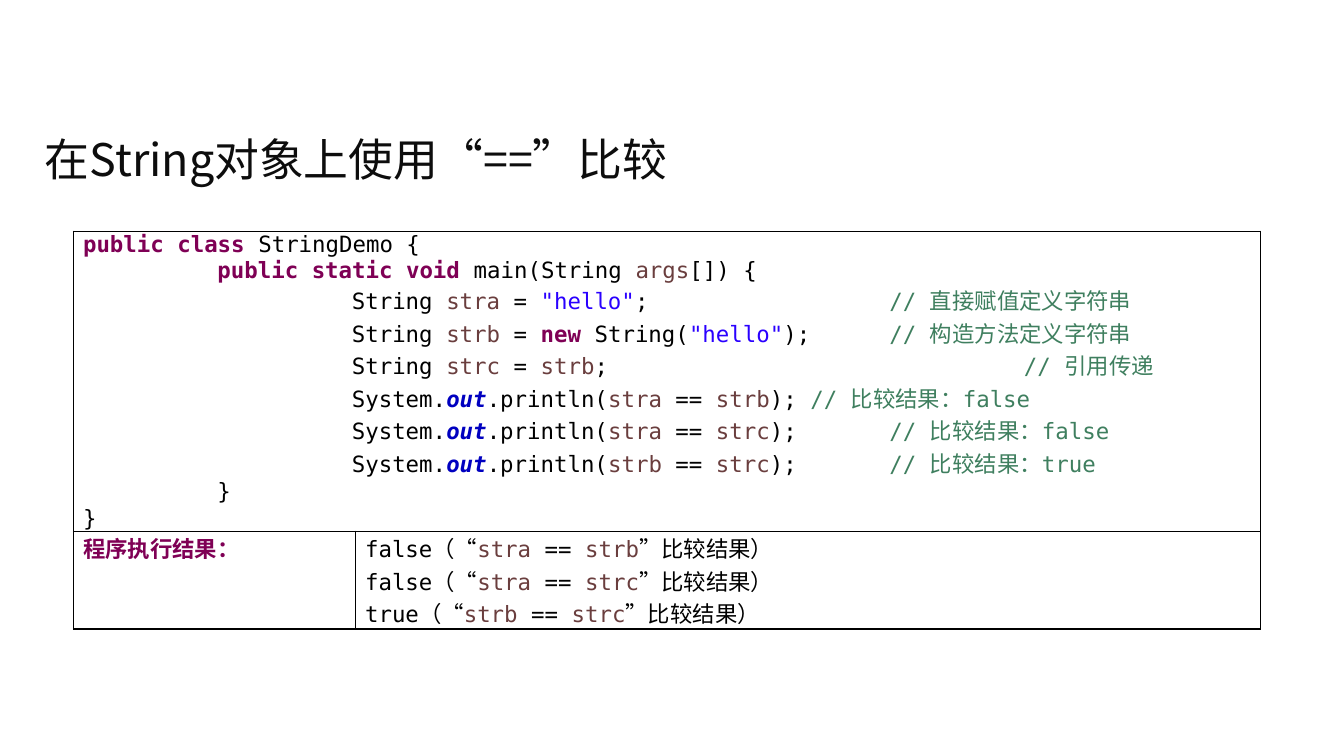
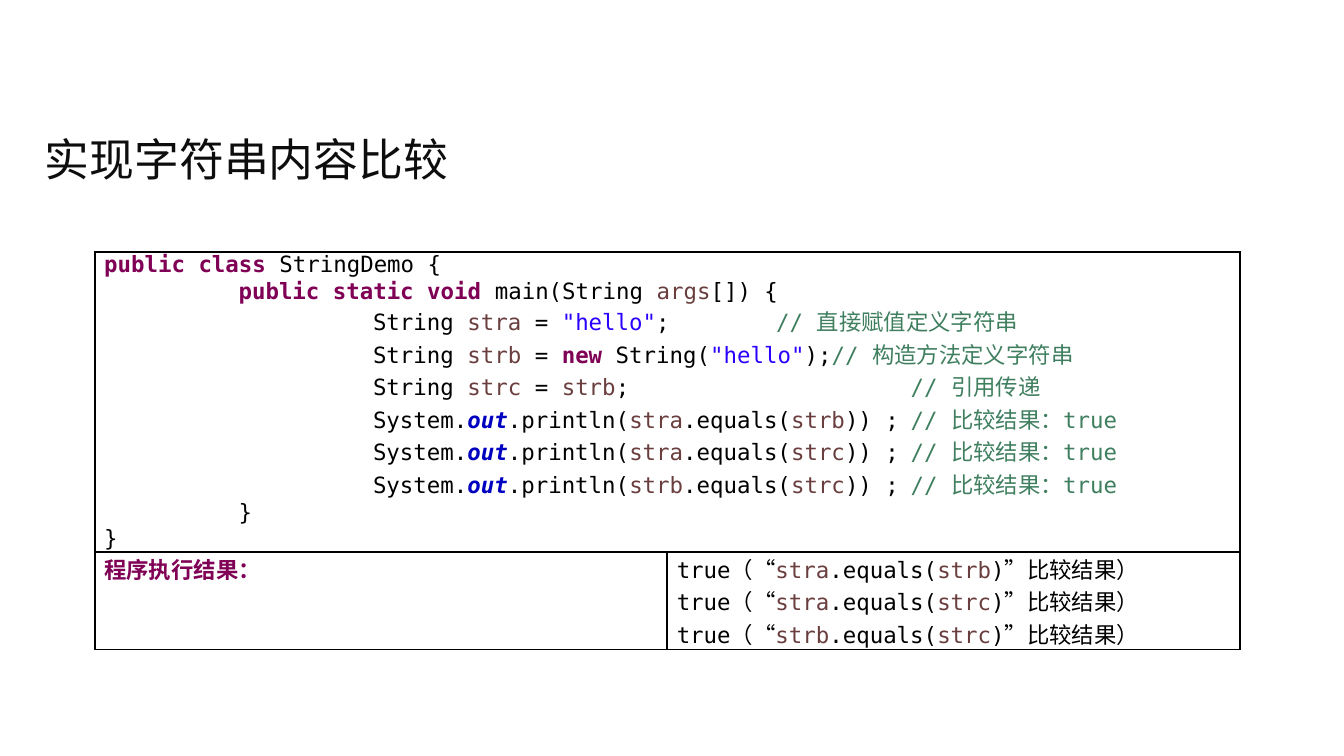
from dataclasses import dataclass

from lxml.etree import SubElement
from pptx import Presentation
from pptx.dml.color import RGBColor
from pptx.enum.text import MSO_ANCHOR
from pptx.oxml.ns import qn
from pptx.util import Cm, Pt


@dataclass(frozen=True)
class Style:
    color: str
    bold: bool = False
    italic: bool = False


@dataclass(frozen=True)
class Theme:
    title_font: str = "Noto Sans CJK SC"
    code_font: str = "DejaVu Sans Mono"
    title_size: int = 24
    code_size: int = 12
    border: str = "000000"
    border_width: int = 1
    title: Style = Style("0D0D0D")
    plain: Style = Style("000000")
    keyword: Style = Style("7F0055", bold=True)
    variable: Style = Style("6A3E3E")
    literal: Style = Style("2A00FF")
    static_field: Style = Style("0000C0", bold=True, italic=True)
    comment: Style = Style("3F7F5F")


@dataclass(frozen=True)
class Comparison:
    expression: str
    ending: str
    verdict: str


@dataclass(frozen=True)
class Lesson:
    title: str
    left: float
    top: float
    columns: tuple[float, float]
    assignment_gaps: tuple[str, str, str]
    comparisons: tuple[Comparison, ...]


THEME = Theme()
SLIDE_SIZE = Cm(25.4), Cm(14.28)
TITLE_BOX = Cm(0.6), Cm(2.18), Cm(24.2), Cm(1.63)
ROW_HEIGHTS = Cm(5.67), Cm(1.84)
CELL_INSET = Cm(0.18)
TAB_WIDTH = Cm(2.54)
TAB_COUNT = 8
RESULT_LABEL = "程序执行结果："

VOCABULARY = {
    "public static void": THEME.keyword,
    "public class": THEME.keyword,
    "new": THEME.keyword,
    RESULT_LABEL: THEME.keyword,
    '"hello"': THEME.literal,
    "out": THEME.static_field,
    "args": THEME.variable,
    "stra": THEME.variable,
    "strb": THEME.variable,
    "strc": THEME.variable,
}

LESSONS = (
    Lesson(
        "在String对象上使用“==”比较", 1.39, 4.37, (5.33, 17.1),
        ("\t\t", "\t", " \t\t\t"),
        (
            Comparison("stra == strb", "; ", "false"),
            Comparison("stra == strc", "; \t", "false"),
            Comparison("strb == strc", "; \t", "true"),
        ),
    ),
    Lesson(
        "实现字符串内容比较", 1.79, 4.76, (10.82, 10.82),
        ("\t", "", " \t\t"),
        tuple(
            Comparison(expression, " ;\t", "true")
            for expression in ("stra.equals(strb)", "stra.equals(strc)", "strb.equals(strc)")
        ),
    ),
)


def code_lines(lesson: Lesson) -> list[str]:
    first, second, third = lesson.assignment_gaps
    return [
        "public class StringDemo {",
        "\tpublic static void main(String args[]) {",
        f'\t\tString stra = "hello";{first}// 直接赋值定义字符串',
        f'\t\tString strb = new String("hello");{second}// 构造方法定义字符串',
        f"\t\tString strc = strb;{third}// 引用传递",
        *(
            f"\t\tSystem.out.println({item.expression}){item.ending}// 比较结果：{item.verdict}"
            for item in lesson.comparisons
        ),
        "\t}",
        "}",
    ]


def result_lines(lesson: Lesson) -> list[str]:
    return [f"{item.verdict}（“{item.expression}”比较结果）" for item in lesson.comparisons]


def split_code(code: str) -> list[tuple[str, Style]]:
    """Cut code into styled pieces around the words of the vocabulary."""
    for word, style in VOCABULARY.items():
        before, found, after = code.partition(word)
        if found:
            return [*split_code(before), (word, style), *split_code(after)]
    return [(code, THEME.plain)] if code else []


def highlight(line: str) -> list[tuple[str, Style]]:
    code, slashes, remark = line.partition("//")
    pieces = split_code(code)
    return [*pieces, (slashes + remark, THEME.comment)] if slashes else pieces


def add_span(para, text: str, style: Style, font_name: str, size: int) -> None:
    span = para.add_run()
    span.text = text
    font = span.font
    font.name, font.size = font_name, Pt(size)
    font.bold, font.italic = style.bold, style.italic
    font.color.rgb = RGBColor.from_string(style.color)
    east_asian = SubElement(font._element, qn("a:ea"))
    east_asian.set("typeface", THEME.title_font)


def add_title(page, text: str) -> None:
    frame = page.shapes.add_textbox(*TITLE_BOX).text_frame
    frame.word_wrap = True
    frame.vertical_anchor = MSO_ANCHOR.MIDDLE
    add_span(frame.paragraphs[0], text, THEME.title, THEME.title_font, THEME.title_size)


def outline_cell(cell) -> None:
    properties = cell._tc.get_or_add_tcPr()
    for side in ("lnL", "lnR", "lnT", "lnB"):
        line = SubElement(properties, qn(f"a:{side}"), w=str(Pt(THEME.border_width)))
        fill = SubElement(line, qn("a:solidFill"))
        SubElement(fill, qn("a:srgbClr"), val=THEME.border)
    cell.fill.background()


def set_tab_stops(para) -> None:
    properties = para._p.get_or_add_pPr()
    properties.set("defTabSz", str(TAB_WIDTH))
    stops = SubElement(properties, qn("a:tabLst"))
    for number in range(1, TAB_COUNT + 1):
        SubElement(stops, qn("a:tab"), pos=str(number * TAB_WIDTH), algn="l")


def write_code(cell, lines: list[str]) -> None:
    frame = cell.text_frame
    for index, line in enumerate(lines):
        para = frame.add_paragraph() if index else frame.paragraphs[0]
        if "\t" in line:
            set_tab_stops(para)
        for text, style in highlight(line):
            add_span(para, text, style, THEME.code_font, THEME.code_size)


def add_listing(page, lesson: Lesson) -> None:
    """Draw the program across the top row and its output below."""
    widths = [Cm(width) for width in lesson.columns]
    table = page.shapes.add_table(
        2, 2, Cm(lesson.left), Cm(lesson.top), sum(widths), sum(ROW_HEIGHTS)
    ).table
    table.first_row = table.horz_banding = False
    for column, width in zip(table.columns, widths):
        column.width = width
    for row, height in zip(table.rows, ROW_HEIGHTS):
        row.height = height
    for cell in table.iter_cells():
        cell.margin_left = cell.margin_right = CELL_INSET
        cell.margin_top = cell.margin_bottom = 0
        outline_cell(cell)
    table.cell(0, 0).merge(table.cell(0, 1))
    write_code(table.cell(0, 0), code_lines(lesson))
    write_code(table.cell(1, 0), [RESULT_LABEL])
    write_code(table.cell(1, 1), result_lines(lesson))


def main() -> None:
    deck = Presentation()
    deck.slide_width, deck.slide_height = SLIDE_SIZE
    for lesson in LESSONS:
        page = deck.slides.add_slide(deck.slide_layouts[6])
        add_title(page, lesson.title)
        add_listing(page, lesson)
    deck.save("out.pptx")


if __name__ == "__main__":
    main()
